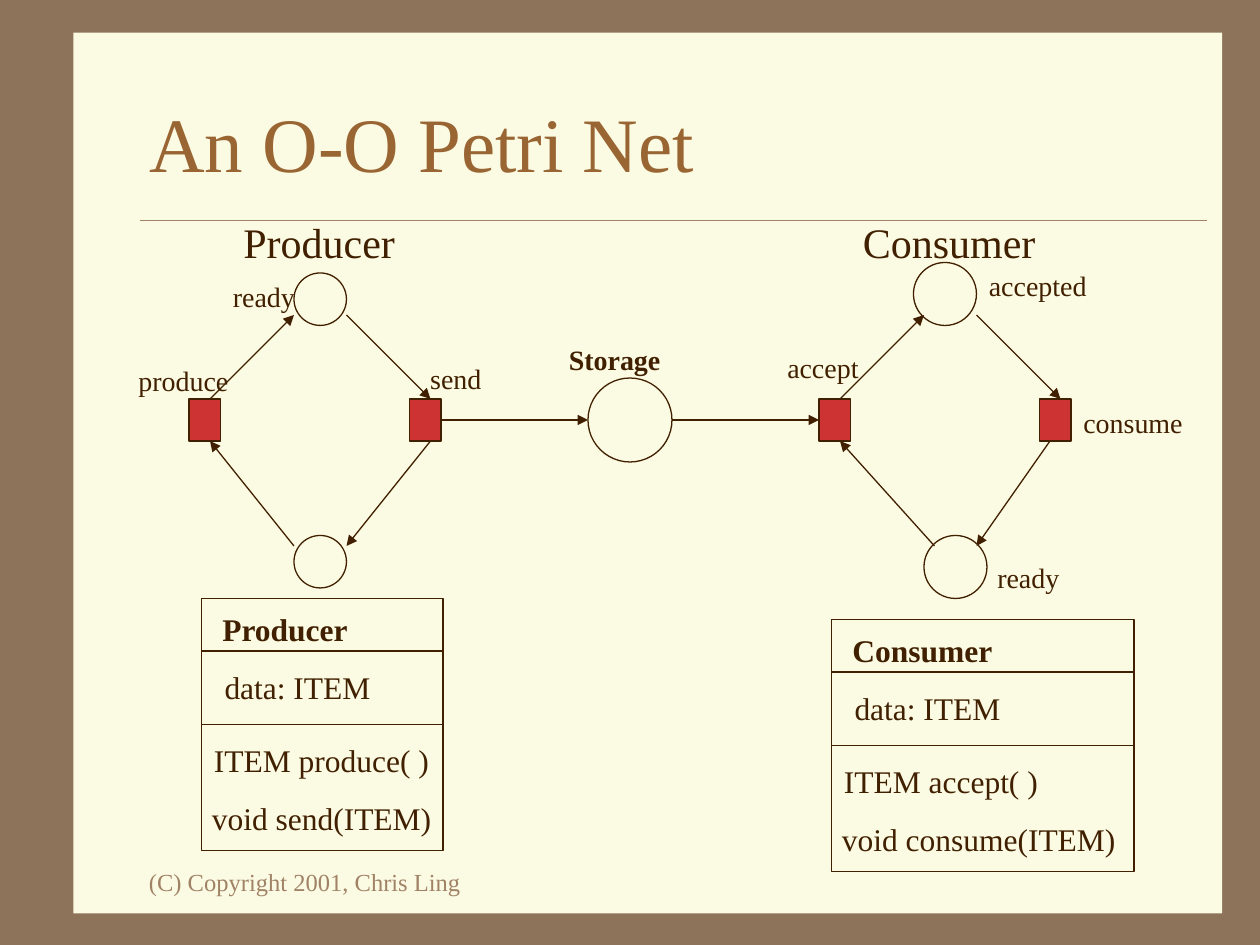
from dataclasses import dataclass

from lxml import etree
from pptx import Presentation
from pptx.dml.color import RGBColor
from pptx.enum.shapes import MSO_CONNECTOR, MSO_SHAPE
from pptx.enum.text import MSO_ANCHOR, MSO_AUTO_SIZE, PP_ALIGN
from pptx.oxml.ns import qn
from pptx.util import Cm, Pt

RECTANGLE = MSO_SHAPE.RECTANGLE
OVAL = MSO_SHAPE.OVAL
STRAIGHT = MSO_CONNECTOR.STRAIGHT
MIDDLE = MSO_ANCHOR.MIDDLE
NO_AUTOFIT = MSO_AUTO_SIZE.NONE
GROW = MSO_AUTO_SIZE.SHAPE_TO_FIT_TEXT
LEFT = PP_ALIGN.LEFT
LEFT_SITE, RIGHT_SITE = 1, 3
GRID_CM = 2.54 / 12


@dataclass(frozen=True)
class Theme:
    font: str = "Times New Roman"
    background: str = "8C735A"
    panel: str = "FBFAE2"
    muted: str = "A08366"
    title: str = "996633"
    ink: str = "402000"
    transition: str = "CD3333"
    title_size: int = 44
    heading_size: int = 24
    class_size: int = 18
    label_size: int = 16
    footer_size: int = 14
    line_width: float = 0.75
    rule_width: float = 0.25


THEME = Theme()
TEXT_HEIGHTS = {THEME.heading_size: 6, THEME.class_size: 4.8,
                THEME.label_size: 4.4, THEME.footer_size: 4}

PLACES = [(28, 26, 5), (28, 51, 5), (87, 25, 6), (88, 51, 6), (56, 36, 8)]
TRANSITIONS = {"produce": 18, "send": 39, "accept": 78, "consume": 99}
ARCS = [
    (20, 38, 28, 30), (33, 30, 41, 38), (41, 42, 33, 52), (28, 52, 20, 42),
    (80, 38, 88, 30), (93, 30, 101, 38), (100, 42, 93, 52), (89, 52, 80, 42),
]
HEADINGS = [("Producer", 22, 20, 17), ("Consumer", 81, 20, 19)]
LABELS = [
    ("ready", 21, 26, 8.5), ("produce", 12, 34, 11.2),
    ("send", 39.8, 33.8, 7.5), ("accept", 73.8, 32.8, 9.4),
    ("accepted", 93, 25, 11.9), ("consume", 102, 38, 12.1),
    ("ready", 93.8, 52.8, 8.5),
]
CLASSES = [
    (19.2, 57, 23, [("Producer", 14.6), ("data: ITEM", 16.5),
                    ("ITEM produce( )", 23.1), ("void send(ITEM)", 24.2)]),
    (79.2, 59, 28.8, [("Consumer", 15.9), ("data: ITEM", 16.5),
                      ("ITEM accept( )", 21.1), ("void consume(ITEM)", 29.4)]),
]
CLASS_HEIGHT = 24
CLASS_DIVIDERS = (5, 12)
CLASS_TEXT_OFFSETS = [(0.8, 0.5), (1, 6), (0, 13), (-0.2, 18.5)]


def grid(*steps):
    return [Cm(step * GRID_CM) for step in steps]


def apply_format(target, values):
    for name, value in values.items():
        setattr(target, name, value)


def write_text(text_frame, text, size, color, bold=False):
    paragraph = text_frame.paragraphs[0]
    paragraph.text = text
    paragraph.alignment = LEFT
    font = paragraph.runs[0].font
    apply_format(font, {"name": THEME.font, "size": Pt(size), "bold": bold})
    font.color.rgb = RGBColor.from_string(color)


def add_text(slide, text, left, top, width, size, color=THEME.ink, bold=False):
    box = slide.shapes.add_textbox(*grid(left, top, width, TEXT_HEIGHTS[size]))
    apply_format(box.text_frame, {"word_wrap": False, "auto_size": GROW})
    write_text(box.text_frame, text, size, color, bold)


def add_outline(slide, kind, left, top, width, height, fill=None, line=THEME.ink):
    shape = slide.shapes.add_shape(kind, *grid(left, top, width, height))
    shape.shadow.inherit = False
    if fill:
        shape.fill.solid()
        shape.fill.fore_color.rgb = RGBColor.from_string(fill)
    else:
        shape.fill.background()
    if line:
        shape.line.color.rgb = RGBColor.from_string(line)
        shape.line.width = Pt(THEME.line_width)
    else:
        shape.line.fill.background()
    return shape


def add_line(slide, ends, color=THEME.ink, width=THEME.line_width):
    connector = slide.shapes.add_connector(STRAIGHT, *grid(*ends))
    connector.line.color.rgb = RGBColor.from_string(color)
    connector.line.width = Pt(width)
    etree.SubElement(connector._element.spPr, qn("a:effectLst"))
    return connector


def add_arrow(slide, ends):
    arrow = add_line(slide, ends)
    line_element = arrow._element.spPr.find(qn("a:ln"))
    etree.SubElement(line_element, qn("a:tailEnd"), type="triangle")
    return arrow


def add_frame(slide):
    slide.background.fill.solid()
    slide.background.fill.fore_color.rgb = RGBColor.from_string(THEME.background)
    add_outline(slide, RECTANGLE, 7, 3.1, 109.4, 83.9, THEME.panel, None)
    add_line(slide, (13.3, 21, 115, 21), THEME.muted, THEME.rule_width)
    add_text(slide, "(C) Copyright 2001, Chris Ling", 13, 82, 33,
             THEME.footer_size, THEME.muted)


def format_title(slide):
    title = slide.shapes.title
    left, top, width, height = grid(13, 6, 102, 15)
    apply_format(title, {"left": left, "top": top, "width": width, "height": height})
    apply_format(title.text_frame, {"vertical_anchor": MIDDLE, "word_wrap": True,
                                    "auto_size": NO_AUTOFIT})
    write_text(title.text_frame, "An O-O Petri Net", THEME.title_size, THEME.title)
    slide.shapes._spTree.append(title._element)


def add_net(slide):
    for left, top, diameter in PLACES:
        add_outline(slide, OVAL, left, top, diameter, diameter)
    transitions = {
        name: add_outline(slide, RECTANGLE, left, 38, 3, 4, THEME.transition)
        for name, left in TRANSITIONS.items()
    }
    for ends in ARCS:
        add_arrow(slide, ends)
    to_storage = add_arrow(slide, (42, 40, 56, 40))
    to_storage.begin_connect(transitions["send"], RIGHT_SITE)
    from_storage = add_arrow(slide, (64, 40, 78, 40))
    from_storage.end_connect(transitions["accept"], LEFT_SITE)
    for heading in HEADINGS:
        add_text(slide, *heading, THEME.heading_size)
    for label in LABELS:
        add_text(slide, *label, THEME.label_size)
    add_text(slide, "Storage", 53, 32, 12, THEME.label_size, bold=True)


def add_class(slide, left, top, width, rows):
    add_outline(slide, RECTANGLE, left, top, width, CLASS_HEIGHT)
    for offset in CLASS_DIVIDERS:
        add_line(slide, (left, top + offset, left + width, top + offset))
    for index, ((text, text_width), (across, down)) in enumerate(
            zip(rows, CLASS_TEXT_OFFSETS)):
        add_text(slide, text, left + across, top + down, text_width,
                 THEME.class_size, bold=index == 0)


def main():
    presentation = Presentation()
    presentation.slide_width = Cm(25.4)
    presentation.slide_height = Cm(19.05)
    slide = presentation.slides.add_slide(presentation.slide_layouts[5])
    add_frame(slide)
    format_title(slide)
    add_net(slide)
    for class_box in CLASSES:
        add_class(slide, *class_box)
    presentation.save("out.pptx")


if __name__ == "__main__":
    main()
